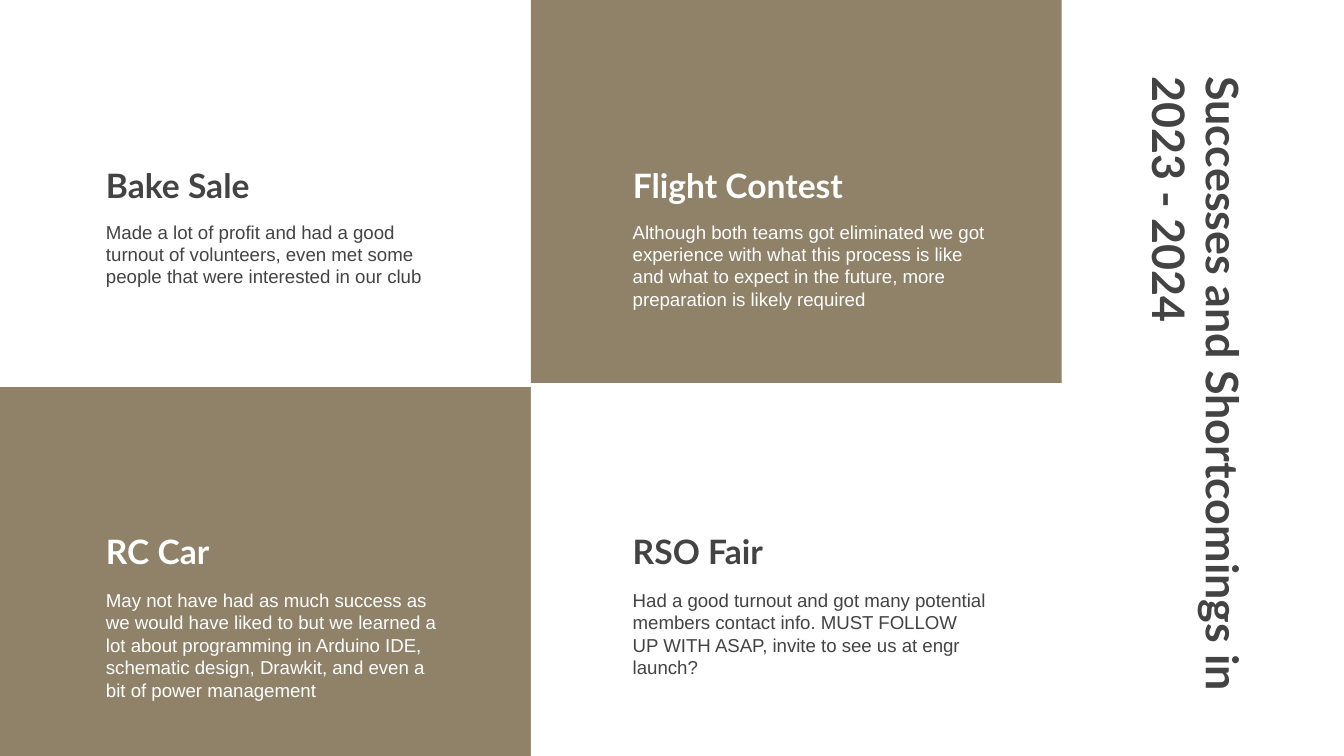
"""Build a slide with four event panels beside a vertical title."""
from pptx import Presentation
from pptx.dml.color import RGBColor
from pptx.enum import shapes, text
from pptx.util import Inches, Pt

DARK = RGBColor(0x43, 0x43, 0x43)
TAN = RGBColor(0x90, 0x82, 0x69)
WHITE = RGBColor(0xFF, 0xFF, 0xFF)

WIDE = Inches(10)
HIGH = WIDE * 9 // 16
LEFT, RIGHT = 0.69, 4.61
UPPER, LOWER = 0.92, 3.64

PANELS = [
    (3.95, -0.03, 2.88, TAN),
    (0, 2.88, 2.75, TAN),
    (3.95, 2.88, 2.75, WHITE),
]

EVENTS = [
    (LEFT, UPPER, 3.14, 0.62, 2.71, 0.59, DARK, "Bake Sale",
     "Made a lot of profit and had a good turnout of volunteers, even met "
     "some people that were interested in our club"),
    (RIGHT, UPPER, 2.95, 0.62, 2.83, 0.82, WHITE, "Flight Contest",
     "Although both teams got eliminated we got experience with what this "
     "process is like and what to expect in the future, more preparation is "
     "likely required"),
    (LEFT, LOWER, 3.14, 0.64, 2.71, 1.03, WHITE, "RC Car",
     "May not have had as much success as we would have liked to but we "
     "learned a lot about programming in Arduino IDE, schematic design, "
     "Drawkit, and even a bit of power management"),
    (RIGHT, LOWER, 2.83, 0.64, 2.83, 0.82, DARK, "RSO Fair",
     "Had a good turnout and got many potential members contact info. MUST "
     "FOLLOW UP WITH ASAP, invite to see us at engr launch?"),
]


def panel(slide, x, y, high, color):
    rect = slide.shapes.add_shape(
        shapes.MSO_SHAPE.RECTANGLE,
        Inches(x), Inches(y), Inches(3.95), Inches(high))
    rect.shadow.inherit = False
    rect.fill.solid()
    rect.fill.fore_color.rgb = color
    rect.line.fill.background()


def label(slide, box, words, size, face, color, bold=False,
          anchor=text.MSO_ANCHOR.TOP):
    area = slide.shapes.add_textbox(*map(Inches, box))
    frame = area.text_frame
    frame.word_wrap = True
    frame.vertical_anchor = anchor
    frame.margin_left = frame.margin_right = Inches(0.1)
    frame.margin_top = frame.margin_bottom = Inches(0.1)
    run = frame.paragraphs[0].add_run()
    run.text = words
    font = run.font
    font.size, font.name, font.bold = Pt(size), face, bold
    font.color.rgb = color
    return area


def event(slide, x, y, head_w, drop, body_w, body_h, color, name, note):
    label(slide, (x, y, head_w, 0.71), name, 18, "Lato", color, True,
          text.MSO_ANCHOR.BOTTOM)
    label(slide, (x, y + drop, body_w, body_h), note, 10, "Arial", color)


def main():
    deck = Presentation()
    deck.slide_width, deck.slide_height = WIDE, HIGH
    slide = deck.slides.add_slide(deck.slide_layouts[6])
    title = label(slide, (6.48, 2.63, 4.85, 0.53),
                  "Successes and Shortcomings in 2023 - 2024",
                  24, "Lato", DARK, True, text.MSO_ANCHOR.MIDDLE)
    title.rotation = 90
    for item in PANELS:
        panel(slide, *item)
    for item in EVENTS:
        event(slide, *item)
    deck.save("out.pptx")


if __name__ == "__main__":
    main()
